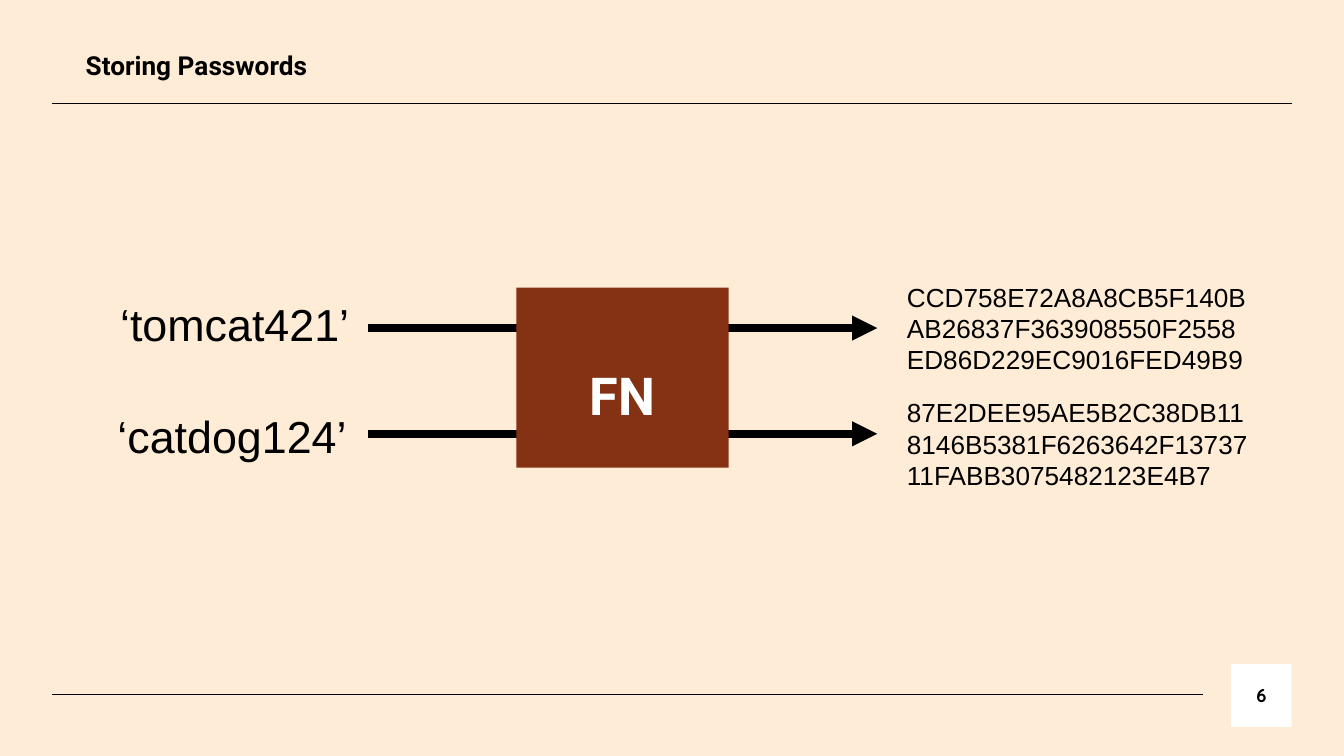
from lxml import etree
from pptx import Presentation
from pptx.dml.color import RGBColor
from pptx.enum import shapes, text
from pptx.oxml.ns import qn
from pptx.util import Cm, Pt

TITLE = "Storing Passwords"
FUNCTION = "FN"
PAGE = "6"
HASHES = [
    {"password": "‘tomcat421’", "arrow_y": 6.2, "password_at": (1.55, 5.36), "digest_y": 5.18,
     "digest": "CCD758E72A8A8CB5F140BAB26837F363908550F2558ED86D229EC9016FED49B9"},
    {"password": "‘catdog124’", "arrow_y": 8.2, "password_at": (1.5, 7.47), "digest_y": 7.37,
     "digest": "87E2DEE95AE5B2C38DB118146B5381F6263642F1373711FABB3075482123E4B7"},
]
RULES = [(24.41, 1.96), (22.73, 13.13)]
RULE_LEFT = 0.99
ARROW_LEFT, ARROW_RIGHT = 6.96, 16.58
BLACK, WHITE, BROWN, CREAM = "000000", "FFFFFF", "853113", "FFECD6"


def paint(color_format, hex_color):
    color_format.rgb = RGBColor.from_string(hex_color)


def write(shape, words, size, font="Arial", color=BLACK, bold=False,
          align=text.PP_ALIGN.LEFT, anchor=text.MSO_ANCHOR.TOP, inset=0.25, spacing=1):
    frame = shape.text_frame
    frame.text = words
    frame.word_wrap = True
    frame.auto_size = text.MSO_AUTO_SIZE.NONE
    frame.vertical_anchor = anchor
    frame.margin_left = frame.margin_right = Cm(0.25)
    frame.margin_top = frame.margin_bottom = Cm(inset)
    paragraph = frame.paragraphs[0]
    paragraph.alignment = align
    paragraph.line_spacing = spacing
    paragraph.font.name = font
    paragraph.font.size = Pt(size)
    paragraph.font.bold = bold
    paint(paragraph.font.color, color)


def add_line(slide, left, right, y, width, arrow=False):
    line = slide.shapes.add_connector(shapes.MSO_CONNECTOR.STRAIGHT,
                                      Cm(left), Cm(y), Cm(right), Cm(y))
    paint(line.line.color, BLACK)
    line.line.width = Pt(width)
    if arrow:
        etree.SubElement(line.line._get_or_add_ln(), qn("a:tailEnd"), type="triangle")
    etree.SubElement(line._element.spPr, qn("a:effectLst"))


def add_box(slide, left, top, width, height, color):
    box = slide.shapes.add_shape(shapes.MSO_SHAPE.RECTANGLE,
                                 Cm(left), Cm(top), Cm(width), Cm(height))
    box.shadow.inherit = False
    box.fill.solid()
    paint(box.fill.fore_color, color)
    box.line.fill.background()
    return box


def add_text(slide, left, top, width, height):
    return slide.shapes.add_textbox(Cm(left), Cm(top), Cm(width), Cm(height))


def main():
    deck = Presentation()
    deck.slide_width, deck.slide_height = Cm(25.4), Cm(14.29)
    slide = deck.slides.add_slide(deck.slide_layouts[5])
    slide.background.fill.solid()
    paint(slide.background.fill.fore_color, CREAM)

    title = slide.shapes.title
    title.left, title.top, title.width, title.height = Cm(1.37), Cm(0.69), Cm(4.75), Cm(1.12)
    write(title, TITLE, 14, "Roboto", bold=True)

    for right, y in RULES:
        add_line(slide, RULE_LEFT, right, y, 0.75)
    for item in HASHES:
        add_line(slide, ARROW_LEFT, ARROW_RIGHT, item["arrow_y"], 4.5, arrow=True)

    center = text.PP_ALIGN.CENTER
    page = add_box(slide, 23.27, 12.55, 1.14, 1.19, WHITE)
    write(page, PAGE, 10, "Quicksand", bold=True, align=center, anchor=text.MSO_ANCHOR.MIDDLE)
    function = add_box(slide, 9.76, 5.44, 4.01, 3.4, BROWN)
    write(function, FUNCTION, 28, "Roboto", WHITE, True, center, spacing=2)

    for item in HASHES:
        password = add_text(slide, *item["password_at"], 5.77, 2.13)
        write(password, item["password"], 24, align=center)
        digest = add_text(slide, 16.89, item["digest_y"], 6.96, 2.06)
        write(digest, item["digest"], 14, inset=0.13)

    deck.save("out.pptx")


if __name__ == "__main__":
    main()
